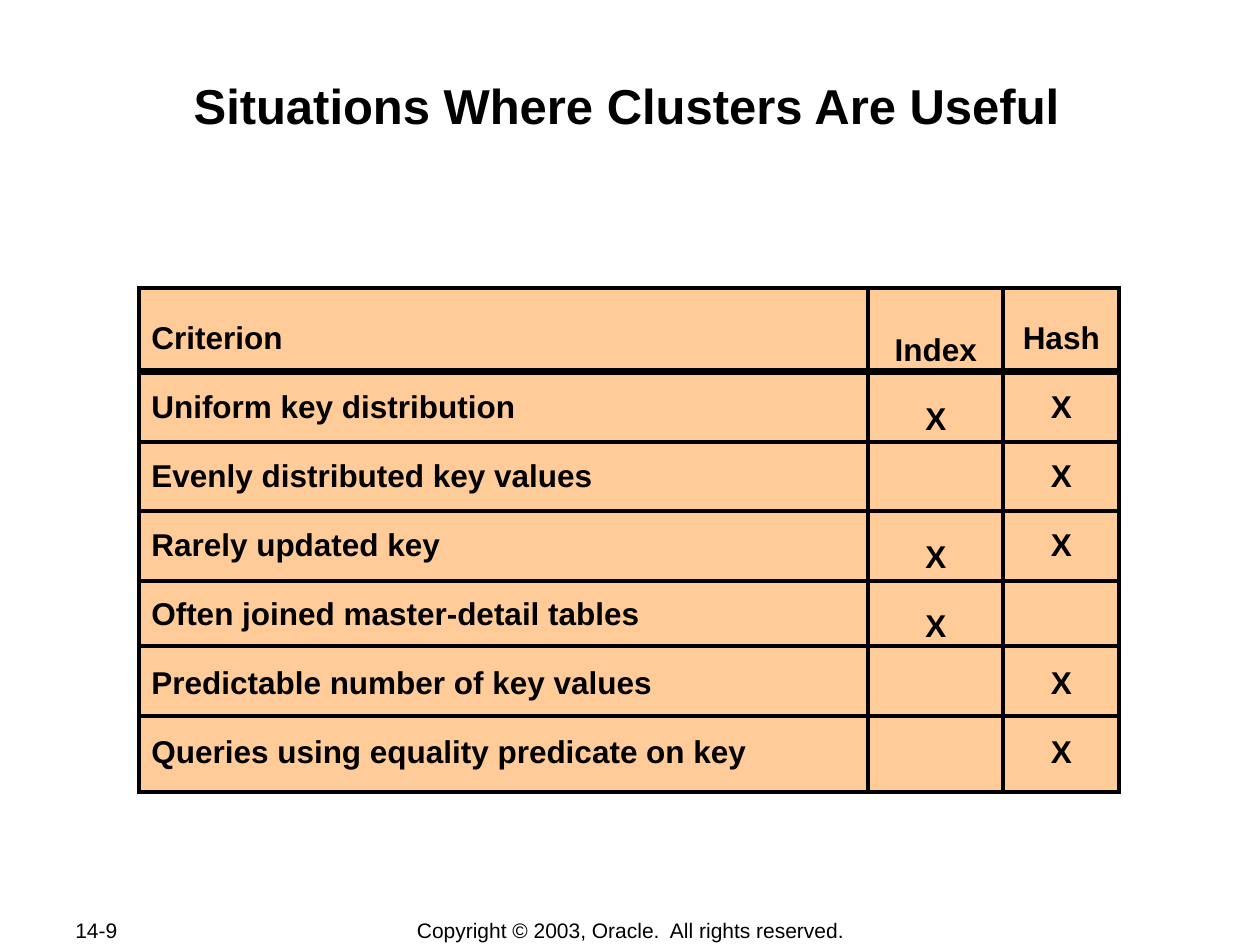
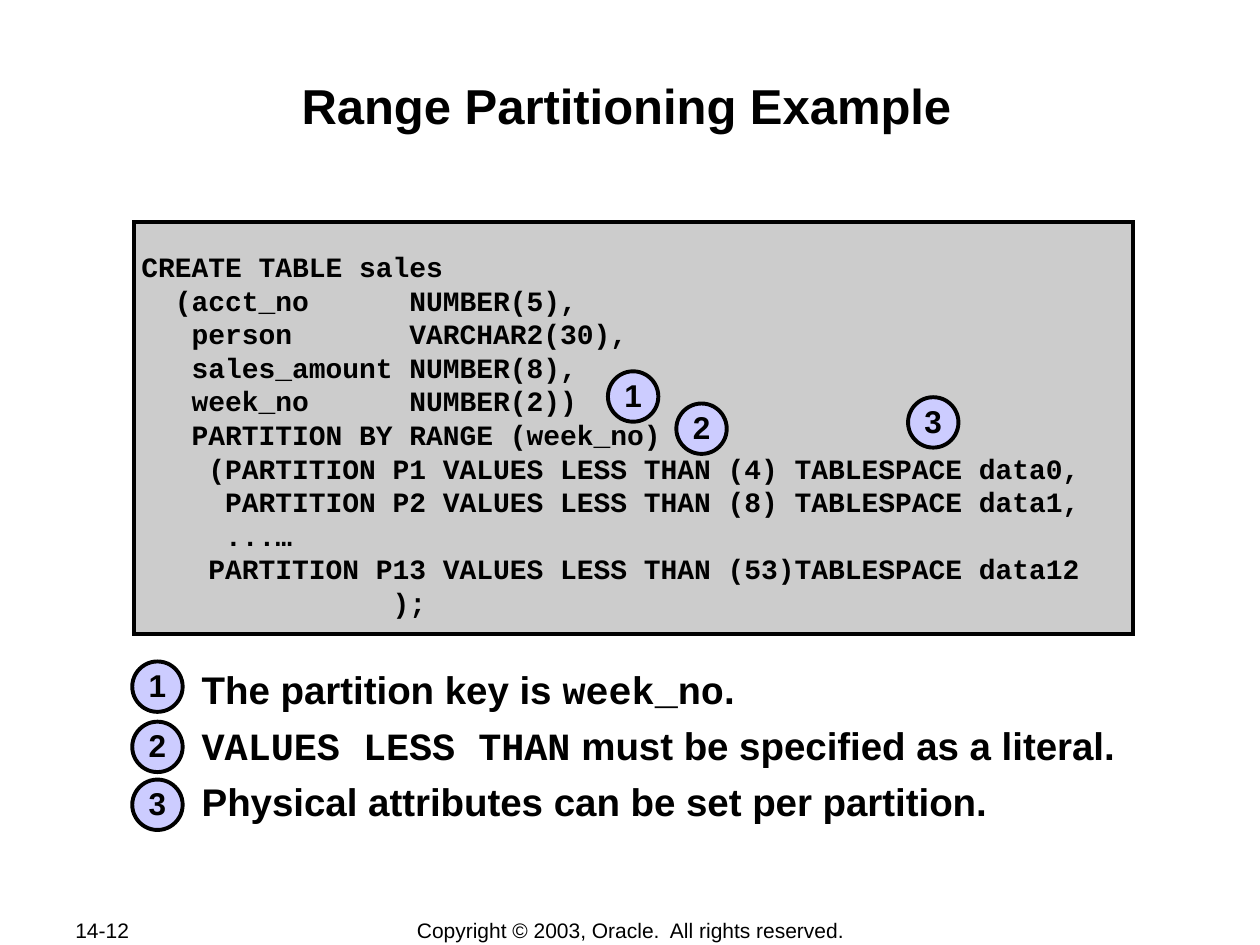
from dataclasses import dataclass

from lxml import etree
from pptx import Presentation
from pptx.dml.color import RGBColor
from pptx.enum import shapes, text
from pptx.oxml import ns
from pptx.util import Pt


@dataclass(frozen=True)
class Theme:
    white: str = "FFFFFF"
    black: str = "000000"
    peach: str = "FFCC99"
    lilac: str = "CCCCFF"
    grey: str = "CCCCCC"
    sans: str = "Arial"
    mono: str = "Courier New"
    title: float = 28
    body: float = 22
    label: float = 18
    code: float = 16
    foot: float = 12
    line: float = 2.25
    heavy: float = 4


@dataclass(frozen=True)
class Box:
    left: float
    top: float
    width: float
    height: float

    def points(self) -> tuple:
        return Pt(self.left), Pt(self.top), Pt(self.width), Pt(self.height)


@dataclass(frozen=True)
class Run:
    words: str
    size: float
    font: str
    bold: bool = True


@dataclass(frozen=True)
class Badge:
    number: int
    left: float
    top: float


@dataclass(frozen=True)
class Column:
    left: float
    width: float
    inset: float
    align: text.PP_ALIGN
    cells: tuple


@dataclass(frozen=True)
class Rule:
    top: float
    width: float


THEME = Theme()
LEFT = text.PP_ALIGN.LEFT
CENTER = text.PP_ALIGN.CENTER
MIDDLE = text.MSO_ANCHOR.MIDDLE

TITLE = Box(70, 42.5, 576, 69)
NUMBER = Box(36, 524.2, 76.3, 14.4)
NOTICE = Box(198.7, 524.2, 323.3, 15.1)
GRID = Box(79.4, 164.4, 560.2, 288)
PANEL = Box(76.6, 126.7, 571, 235.8)
CODE = Box(73.7, 139.1, 573.8, 218.2)
NOTES = Box(108.2, 377.3, 552.2, 97.2)

PITCH = 25.9
GAP = 13.5
BADGE = 28.8

COLUMNS = (
    Column(79.4, 416.9, 13.2, LEFT, (
        "Criterion",
        "Uniform key distribution",
        "Evenly distributed key values",
        "Rarely updated key",
        "Often joined master-detail tables",
        "Predictable number of key values",
        "Queries using equality predicate on key",
    )),
    Column(573.3, 66.3, 13.2, CENTER, ("Hash", "X", "X", "X", "", "X", "X")),
    Column(496.3, 77, 20, CENTER, ("Index", "X", "", "X", "X")),
)

RULES = (
    Rule(252.5, THEME.line),
    Rule(292.2, THEME.line),
    Rule(332, THEME.line),
    Rule(212.2, THEME.heavy),
    Rule(369.3, THEME.line),
    Rule(409.2, THEME.line),
)

BADGES = (
    Badge(1, 75.6, 378),
    Badge(2, 75.6, 412.4),
    Badge(3, 75.6, 445.5),
    Badge(1, 347.4, 212.2),
    Badge(2, 386.5, 230.6),
    Badge(3, 518.9, 227),
)

SQL = """CREATE TABLE sales
  (acct_no      NUMBER(5),
   person       VARCHAR2(30),
   sales_amount NUMBER(8),
   week_no      NUMBER(2))
   PARTITION BY RANGE (week_no)
    (PARTITION P1 VALUES LESS THAN (4) TABLESPACE data0,
     PARTITION P2 VALUES LESS THAN (8) TABLESPACE data1,
     ...…
    PARTITION P13 VALUES LESS THAN (53)TABLESPACE data12
               );"""


def tint(value: str) -> RGBColor:
    return RGBColor.from_string(value)


def write(frame, lines: list, align=LEFT, pitch=None, gap: float = 0) -> list:
    paras = []
    for index, runs in enumerate(lines):
        para = frame.add_paragraph() if index else frame.paragraphs[0]
        para.alignment = align
        if pitch:
            para.line_spacing = pitch
        if index and gap:
            para.space_before = Pt(gap)
        for item in runs:
            run = para.add_run()
            run.text = item.words
            font = run.font
            font.name, font.size, font.bold = item.font, Pt(item.size), item.bold
            font.color.rgb = tint(THEME.black)
        paras.append(para)
    return paras


def inset(frame, side: float, edge: float) -> None:
    frame.margin_left = frame.margin_right = Pt(side)
    frame.margin_top = frame.margin_bottom = Pt(edge)


def label(slide, box: Box, lines: list, side: float = 7.2, edge: float = 3.6,
          anchor=text.MSO_ANCHOR.TOP, **style) -> None:
    frame = slide.shapes.add_textbox(*box.points()).text_frame
    frame.word_wrap = True
    frame.vertical_anchor = anchor
    inset(frame, side, edge)
    write(frame, lines, **style)


def stroke(line, width: float) -> None:
    line.color.rgb = tint(THEME.black)
    line.width = Pt(width)


def solid(slide, kind, box: Box, fill: str):
    shape = slide.shapes.add_shape(kind, *box.points())
    shape.shadow.inherit = False
    shape.fill.solid()
    shape.fill.fore_color.rgb = tint(fill)
    stroke(shape.line, THEME.line)
    outline = shape._element.spPr.find(ns.qn("a:ln"))
    etree.SubElement(outline, ns.qn("a:miter"), lim="800000")
    return shape


def badge(slide, mark: Badge) -> None:
    box = Box(mark.left, mark.top, BADGE, BADGE)
    frame = solid(slide, shapes.MSO_SHAPE.OVAL, box, THEME.lilac).text_frame
    frame.word_wrap = False
    frame.vertical_anchor = MIDDLE
    inset(frame, 3.6, 3.6)
    write(frame, [[Run(str(mark.number), THEME.label, THEME.sans)]], CENTER, 0.95)


def column(slide, part: Column) -> None:
    box = Box(part.left, GRID.top, part.width, GRID.height)
    frame = solid(slide, shapes.MSO_SHAPE.RECTANGLE, box, THEME.peach).text_frame
    frame.word_wrap = True
    frame.vertical_anchor = text.MSO_ANCHOR.TOP
    inset(frame, 7.2, 3.6)
    frame.margin_top = Pt(part.inset)
    rows = [row for row, word in enumerate(part.cells) if word]
    lines = [[Run(part.cells[row], THEME.label, THEME.sans)] for row in rows]
    paras = write(frame, lines, part.align, Pt(PITCH))
    for para, last, row in zip(paras[1:], rows, rows[1:]):
        para.space_before = Pt((row - last) * (PITCH + GAP) - PITCH)


def divide(slide, rule: Rule) -> None:
    line = slide.shapes.add_connector(
        shapes.MSO_CONNECTOR.STRAIGHT, Pt(GRID.left), Pt(rule.top),
        Pt(GRID.left + GRID.width), Pt(rule.top))
    stroke(line.line, rule.width)
    etree.SubElement(line._element.spPr, ns.qn("a:effectLst"))


def page(deck, title: str, number: str):
    slide = deck.slides.add_slide(deck.slide_layouts[6])
    slide.background.fill.solid()
    slide.background.fill.fore_color.rgb = tint(THEME.white)
    notice = "Copyright © 2003, Oracle.  All rights reserved."
    for box, words, align in ((NUMBER, number, LEFT), (NOTICE, notice, CENTER)):
        label(slide, box, [[Run(words, THEME.foot, THEME.sans, False)]],
              anchor=MIDDLE, align=align)
    label(slide, TITLE, [[Run(title, THEME.title, THEME.sans)]], 0.72, 0.72,
          align=CENTER, pitch=Pt(33.6))
    return slide


def clusters(deck) -> None:
    slide = page(deck, "Situations Where Clusters Are Useful", "14-9")
    for part in COLUMNS:
        column(slide, part)
    for rule in RULES:
        divide(slide, rule)


def ranges(deck) -> None:
    slide = page(deck, "Range Partitioning Example", "14-12")
    solid(slide, shapes.MSO_SHAPE.RECTANGLE, PANEL, THEME.grey)
    code = [[Run(line, THEME.code, THEME.mono)] for line in SQL.split("\n")]
    label(slide, CODE, code, pitch=Pt(19.2))
    sans, mono, size = THEME.sans, THEME.mono, THEME.body
    notes = [
        [Run("The partition key is ", size, sans), Run("week_no", size, mono),
         Run(".", size, sans)],
        [Run("VALUES LESS THAN", size, mono),
         Run(" must be specified as a literal.", size, sans)],
        [Run("Physical attributes can be set per partition.", size, sans)],
    ]
    label(slide, NOTES, notes, pitch=Pt(26.4), gap=5.5)
    for mark in BADGES:
        badge(slide, mark)


def main() -> None:
    deck = Presentation()
    deck.slide_width, deck.slide_height = Pt(720), Pt(540)
    clusters(deck)
    ranges(deck)
    deck.save("out.pptx")


if __name__ == "__main__":
    main()
